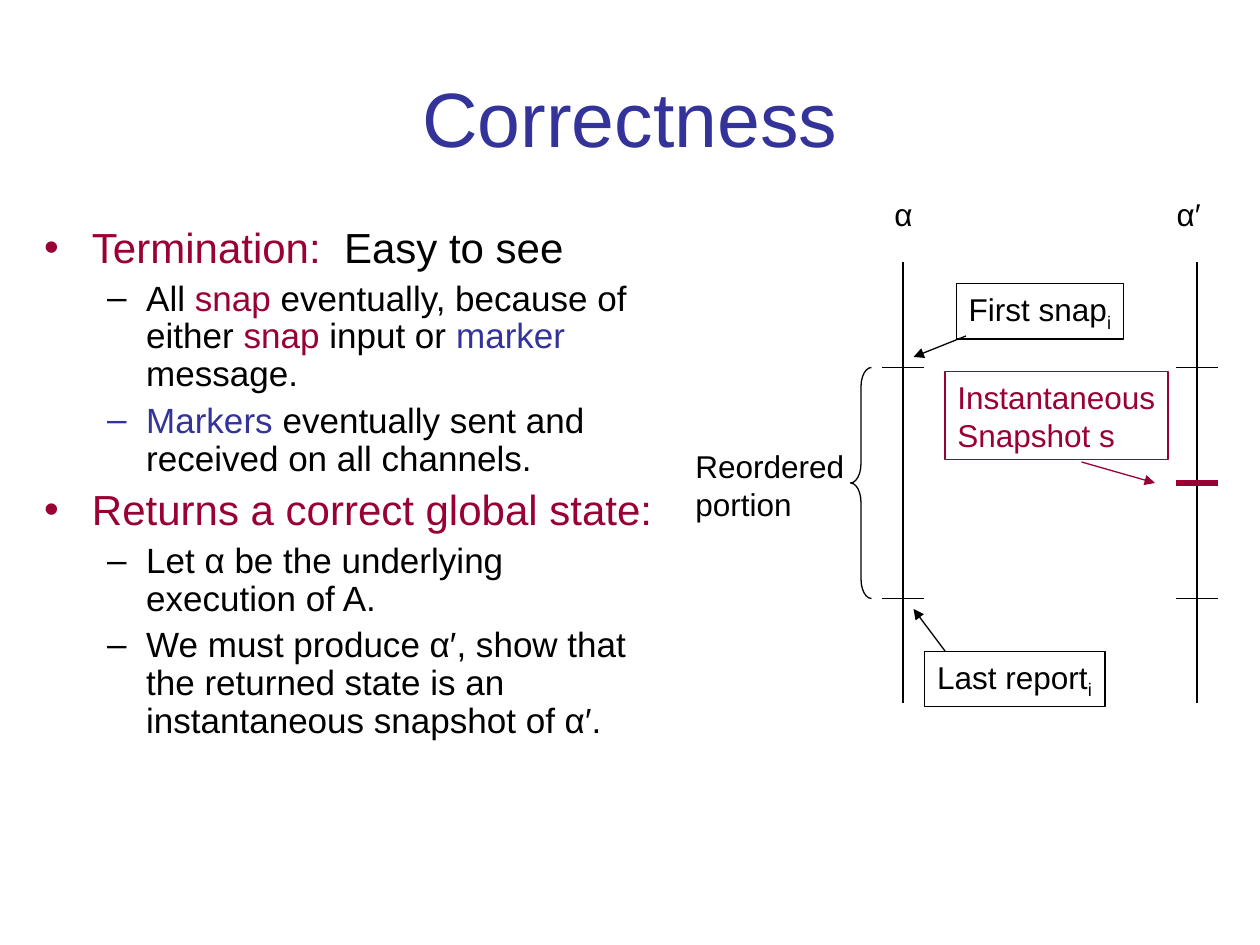
from lxml import etree
from pptx import Presentation, util as u
from pptx.dml.color import RGBColor
from pptx.enum import shapes, text
from pptx.oxml.ns import qn

BLACK = RGBColor(0x00, 0x00, 0x00)
BLUE = RGBColor(0x33, 0x33, 0x99)
RED = RGBColor(0x99, 0x00, 0x33)

deck = Presentation()
deck.slide_width, deck.slide_height = u.Inches(10), u.Inches(7.5)
page = deck.slides.add_slide(deck.slide_layouts[1])
GRID = deck.slide_width // 120  # the diagram sits on a grid of 120 columns by 90 rows


def write(para, spans, size):
    """Add (wording, colour, extra run properties) spans to a paragraph."""
    for wording, colour, extra in spans:
        span = para.add_run()
        span.text = wording
        for name, value in {"name": "Arial", "size": u.Pt(size)}.items():
            setattr(span.font, name, value)
        span.font.color.rgb = colour
        for name, value in extra.items():
            span.font._element.set(name, value)


def draw_line(start, end, colour=BLACK, width=0.75, arrow=False):
    """Draw a straight line between two (column, row) grid points."""
    ends = [round(value * GRID) for value in (*start, *end)]
    line = page.shapes.add_connector(shapes.MSO_CONNECTOR.STRAIGHT, *ends)
    line.line.color.rgb = colour
    line.line.width = u.Pt(width)
    if arrow:
        etree.SubElement(line.line._get_or_add_ln(), qn("a:tailEnd"), type="triangle")
    etree.SubElement(line._element.spPr, qn("a:effectLst"))


# Title
title = page.shapes.title
title.left, title.top, title.width, title.height = (
    u.Inches(value) for value in (0.5, 0.3, 9, 1.25))
title.text_frame.vertical_anchor = text.MSO_ANCHOR.MIDDLE
title.text_frame.auto_size = text.MSO_AUTO_SIZE.NONE
title.text_frame.paragraphs[0].alignment = text.PP_ALIGN.CENTER
write(title.text_frame.paragraphs[0], [("Correctness", BLUE, {})], 44)

# Body list
LEVELS = [
    {"bullet": "•", "size": 24, "before": 6, "left": 0.38, "hang": 0.38},
    {"bullet": "–", "size": 20, "before": 5, "left": 0.81, "hang": 0.31},
]
POINTS = [
    (0, [("Termination:", RED), ("  Easy to see", BLACK)]),
    (1, [("All ", BLACK), ("snap", RED), (" eventually, because of either", BLACK),
         (" snap", RED), (" input or ", BLACK), ("marker ", BLUE), ("message.", BLACK)]),
    (1, [("Markers ", BLUE), ("eventually sent and received on all channels.", BLACK)]),
    (0, [("Returns a correct global state:", RED)]),
    (1, [("Let α be the underlying execution of A.", BLACK)]),
    (1, [("We must produce α′, show that the returned state is an "
          "instantaneous snapshot of α′.", BLACK)]),
]
body = page.placeholders[1]
body.left, body.top, body.width, body.height = (
    u.Inches(value) for value in (0.25, 1.75, 5.08, 5.42))
body.text_frame.auto_size = text.MSO_AUTO_SIZE.NONE
for index, (level, spans) in enumerate(POINTS):
    style = LEVELS[level]
    para = body.text_frame.add_paragraph() if index else body.text_frame.paragraphs[0]
    formats = {"level": level, "line_spacing": 0.9,
               "space_before": u.Pt(style["before"] if index else 0)}
    for name, value in formats.items():
        setattr(para, name, value)
    props = para._p.get_or_add_pPr()
    props.set("marL", str(u.Inches(style["left"])))
    props.set("indent", str(-u.Inches(style["hang"])))
    bullet_colour = etree.SubElement(props, qn("a:buClr"))
    etree.SubElement(bullet_colour, qn("a:srgbClr"), val=str(spans[0][1]))
    etree.SubElement(props, qn("a:buFont"), typeface="Arial")
    etree.SubElement(props, qn("a:buChar"), char=style["bullet"])
    write(para, [(wording, colour, {}) for wording, colour in spans], style["size"])

# Two timelines, each with a tick at the first snap and the last report
FIRST, CUT, LAST = 35, 46, 57
for column in (86, 114):
    draw_line((column, 25), (column, 67))
    for row in (FIRST, LAST):
        draw_line((column - 2, row), (column + 2, row))

# Brace over the reordered portion
brace = page.shapes.add_shape(
    shapes.MSO_SHAPE.LEFT_BRACE, 81 * GRID, FIRST * GRID, 2 * GRID, (LAST - FIRST) * GRID)
brace.shadow.inherit = False
brace.fill.background()
brace.line.color.rgb = BLACK
brace.line.width = u.Pt(0.75)
brace.adjustments[0] = 0.92

# Labels: left, top, width, height, colour, framed, lines, subscript
LABELS = [
    (7, 1.5, 0.36, 0.4, BLACK, False, ["α"], ""),
    (9.24, 1.5, 0.44, 0.4, BLACK, False, ["α′"], ""),
    (5.42, 3.5, 1.38, 0.7, BLACK, False, ["Reordered", "portion"], ""),
    (7.59, 2.25, 1.33, 0.44, BLACK, True, ["First snap"], "i"),
    (7.34, 5.17, 1.43, 0.44, BLACK, True, ["Last report"], "i"),
    (7.5, 2.95, 1.77, 0.7, RED, True, ["Instantaneous", "Snapshot s"], ""),
]
for *place, colour, framed, lines, subscript in LABELS:
    box = page.shapes.add_textbox(*(u.Inches(value) for value in place))
    box.text_frame.word_wrap = False
    box.text_frame.auto_size = text.MSO_AUTO_SIZE.SHAPE_TO_FIT_TEXT
    if framed:
        box.line.color.rgb = colour
        box.line.width = u.Pt(0.75)
    for index, wording in enumerate(lines):
        para = box.text_frame.add_paragraph() if index else box.text_frame.paragraphs[0]
        write(para, [(wording, colour, {})], 18)
    if subscript:
        write(para, [(subscript, colour, {"baseline": "-25000"})], 18)

# Arrows from the labels, and the snapshot mark
draw_line((90, 62), (87, 58), arrow=True)
draw_line((92, 32), (87, 34), arrow=True)
draw_line((103, 44), (110, CUT), RED, arrow=True)
draw_line((112, CUT), (116, CUT), RED, width=3)

deck.save("out.pptx")
